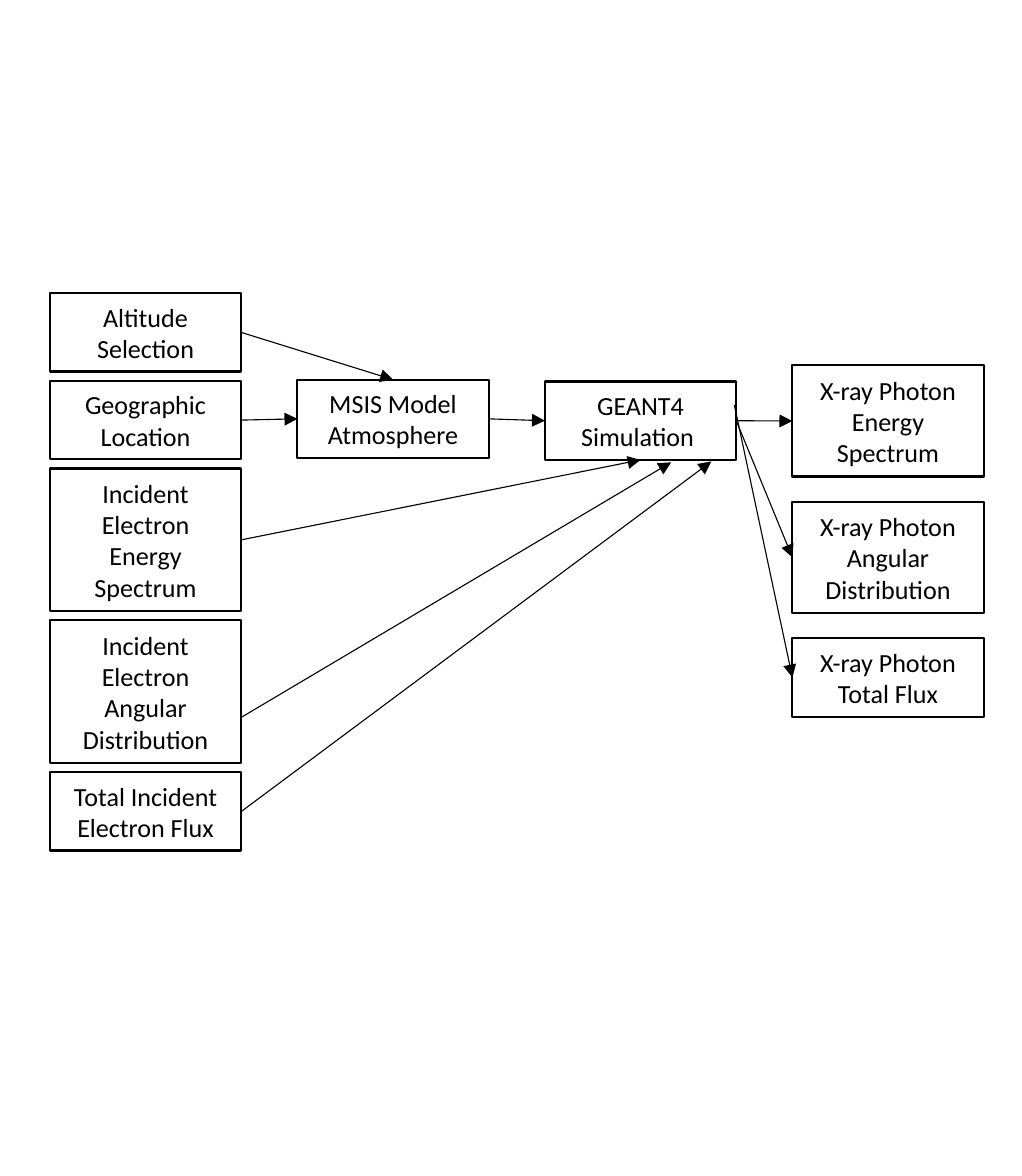
from typing import NamedTuple

from lxml import etree
from pptx import Presentation
from pptx.dml.color import RGBColor
from pptx.enum.shapes import MSO_CONNECTOR, MSO_SHAPE
from pptx.enum.text import MSO_ANCHOR, MSO_AUTO_SIZE, PP_ALIGN
from pptx.oxml.ns import qn
from pptx.shapes.autoshape import Shape
from pptx.slide import Slide
from pptx.util import Cm, Pt

BLACK = RGBColor(0x00, 0x00, 0x00)
WHITE = RGBColor(0xFF, 0xFF, 0xFF)
RECTANGLE = MSO_SHAPE.RECTANGLE
STRAIGHT = MSO_CONNECTOR.STRAIGHT
CENTER = PP_ALIGN.CENTER
MIDDLE = MSO_ANCHOR.MIDDLE
FIT_SHAPE = MSO_AUTO_SIZE.SHAPE_TO_FIT_TEXT

FONT_NAME = "Calibri"
FIRST_COLUMN = 0.81
COLUMN_PITCH = 4.01
BOX_WIDTH = 3.1
HEIGHT_BY_LINES = {2: 1.27, 3: 1.8, 4: 2.31}


class Anchor(NamedTuple):
    across: float
    down: float


TOP = Anchor(0.5, 0)
LEFT = Anchor(0, 0.5)
BOTTOM = Anchor(0.5, 1)
RIGHT = Anchor(1, 0.5)
CONNECTION_SITES = {TOP: 0, LEFT: 1, BOTTOM: 2, RIGHT: 3}


class Step(NamedTuple):
    text: str
    lines: int


class Column(NamedTuple):
    index: int
    top: float
    gap: float
    steps: list[Step]


class Arrow(NamedTuple):
    source: str
    target: str
    start: Anchor = RIGHT
    end: Anchor = LEFT


ALTITUDE = "Altitude Selection"
LOCATION = "Geographic Location"
ELECTRON_ENERGY = "Incident Electron Energy Spectrum"
ELECTRON_ANGLE = "Incident Electron Angular Distribution"
ELECTRON_FLUX = "Total Incident Electron Flux"
ATMOSPHERE = "MSIS Model Atmosphere"
SIMULATION = "GEANT4 Simulation "
PHOTON_ENERGY = "X-ray Photon Energy Spectrum"
PHOTON_ANGLE = "X-ray Photon Angular Distribution"
PHOTON_FLUX = "X-ray Photon Total Flux"

COLUMNS = [
    Column(0, 4.75, 0.15, [
        Step(ALTITUDE, 2),
        Step(LOCATION, 2),
        Step(ELECTRON_ENERGY, 4),
        Step(ELECTRON_ANGLE, 4),
        Step(ELECTRON_FLUX, 2),
    ]),
    Column(1, 6.15, 0, [Step(ATMOSPHERE, 2)]),
    Column(2, 6.18, 0, [Step(SIMULATION, 2)]),
    Column(3, 5.92, 0.41, [
        Step(PHOTON_ENERGY, 3),
        Step(PHOTON_ANGLE, 3),
        Step(PHOTON_FLUX, 2),
    ]),
]

ARROWS = [
    Arrow(ALTITUDE, ATMOSPHERE, end=TOP),
    Arrow(LOCATION, ATMOSPHERE),
    Arrow(ATMOSPHERE, SIMULATION),
    Arrow(ELECTRON_ENERGY, SIMULATION, end=BOTTOM),
    Arrow(ELECTRON_ANGLE, SIMULATION, Anchor(1, 0.68), Anchor(0.66, 1.03)),
    Arrow(ELECTRON_FLUX, SIMULATION, end=Anchor(0.87, 1.02)),
    Arrow(SIMULATION, PHOTON_ENERGY),
    Arrow(SIMULATION, PHOTON_ANGLE),
    Arrow(SIMULATION, PHOTON_FLUX, start=Anchor(0.99, 0.3)),
]


def draw_box(page: Slide, text: str, left: float, top: float, height: float) -> Shape:
    box = page.shapes.add_shape(RECTANGLE, Cm(left), Cm(top), Cm(BOX_WIDTH), Cm(height))
    box.shadow.inherit = False
    box.fill.solid()
    box.fill.fore_color.rgb = WHITE
    box.line.color.rgb = BLACK
    box.line.width = Pt(1)
    frame = box.text_frame
    frame.text = text
    frame.word_wrap = True
    frame.auto_size = FIT_SHAPE
    frame.vertical_anchor = MIDDLE
    para = frame.paragraphs[0]
    para.alignment = CENTER
    font = para.runs[0].font
    font.name = FONT_NAME
    font.size = Pt(12)
    font.color.rgb = BLACK
    return box


def draw_column(page: Slide, column: Column) -> dict[str, Shape]:
    boxes = {}
    left = FIRST_COLUMN + column.index * COLUMN_PITCH
    top = column.top
    for step in column.steps:
        height = HEIGHT_BY_LINES[step.lines]
        boxes[step.text] = draw_box(page, step.text, left, top, height)
        top += height + column.gap
    return boxes


def locate(box: Shape, anchor: Anchor) -> tuple[int, int]:
    return (
        round(box.left + anchor.across * box.width),
        round(box.top + anchor.down * box.height),
    )


def draw_arrow(page: Slide, arrow: Arrow, boxes: dict[str, Shape]) -> None:
    source, target = boxes[arrow.source], boxes[arrow.target]
    connector = page.shapes.add_connector(
        STRAIGHT, *locate(source, arrow.start), *locate(target, arrow.end)
    )
    if arrow.start in CONNECTION_SITES:
        connector.begin_connect(source, CONNECTION_SITES[arrow.start])
    if arrow.end in CONNECTION_SITES:
        connector.end_connect(target, CONNECTION_SITES[arrow.end])
    connector.line.color.rgb = BLACK
    connector.line.width = Pt(0.5)
    properties = connector.element.spPr
    outline = properties.find(qn("a:ln"))
    etree.SubElement(outline, qn("a:tailEnd"), type="triangle")
    etree.SubElement(properties, qn("a:effectLst"))


deck = Presentation()
deck.slide_width = Cm(16.56)
deck.slide_height = Cm(19.05)
page = deck.slides.add_slide(deck.slide_layouts[6])

boxes: dict[str, Shape] = {}
for column in COLUMNS:
    boxes.update(draw_column(page, column))
for arrow in ARROWS:
    draw_arrow(page, arrow, boxes)

deck.save("out.pptx")
